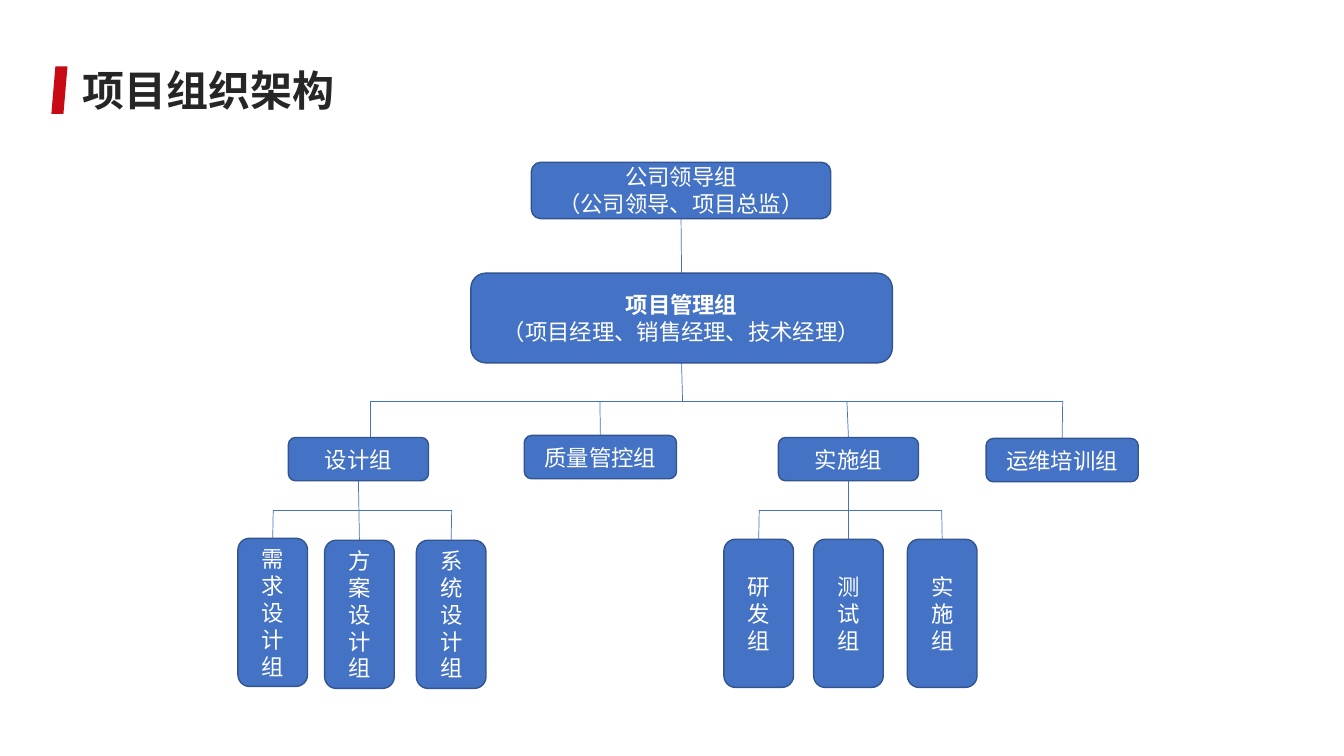
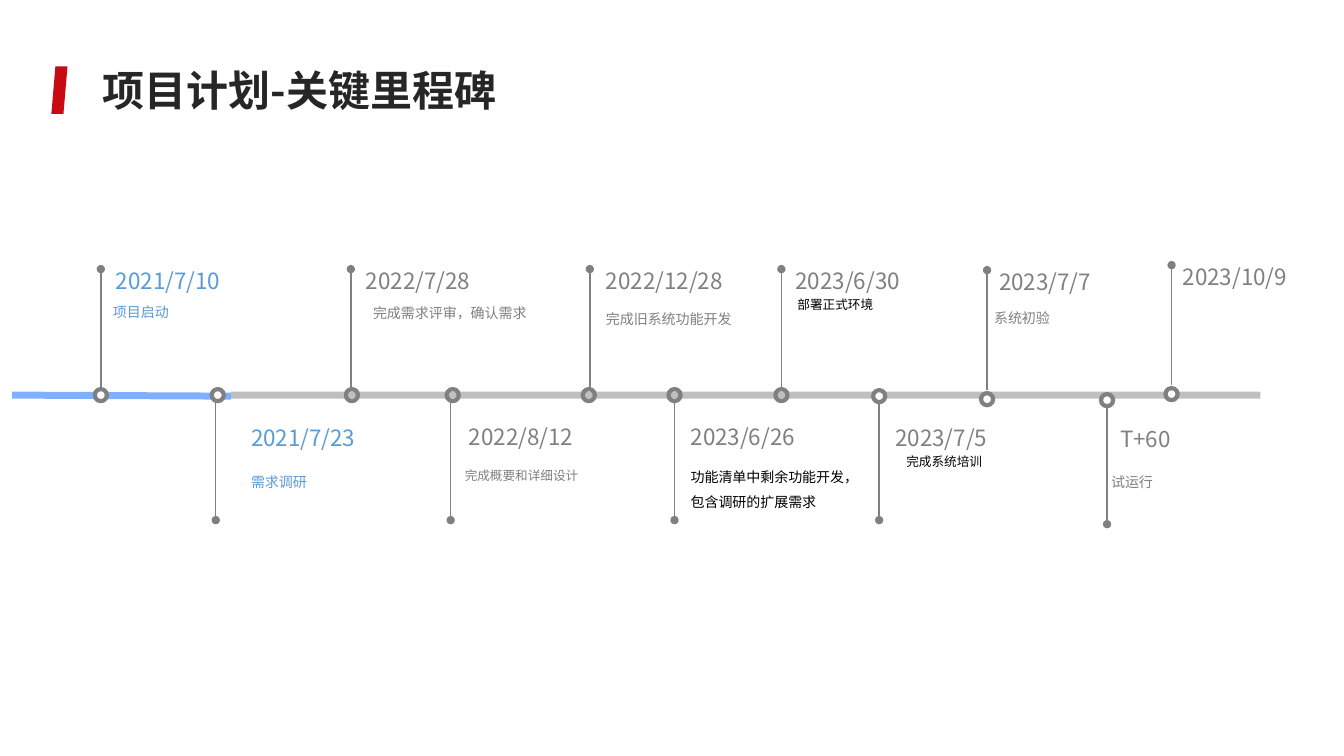
import lxml.etree
import pptx
import pptx.dml.color
import pptx.enum.shapes
import pptx.enum.text
import pptx.oxml.ns
import pptx.util

Inches = pptx.util.Inches
Pt = pptx.util.Pt
RGBColor = pptx.dml.color.RGBColor
SHAPE = pptx.enum.shapes.MSO_SHAPE
ANCHOR = pptx.enum.text.MSO_ANCHOR
ALIGN = pptx.enum.text.PP_ALIGN
qn = pptx.oxml.ns.qn

FONT = "Noto Sans CJK SC"
RED = RGBColor(0xC8, 0x0A, 0x14)
INK = RGBColor(0x26, 0x26, 0x26)
BLACK = RGBColor(0, 0, 0)
WHITE = RGBColor(0xFF, 0xFF, 0xFF)
BLUE = RGBColor(0x44, 0x72, 0xC4)
BOX_EDGE = RGBColor(0x32, 0x54, 0x91)
GRAY = RGBColor(0x80, 0x80, 0x80)
SKY = RGBColor(0x5B, 0x9B, 0xD5)
DONE_BLUE = RGBColor(0x00, 0x60, 0xFF)


def write(frame, text, size, color, bold=False, align=ALIGN.LEFT, spacing=1.0):
    frame.word_wrap = True
    frame.text = text
    for para in frame.paragraphs:
        para.alignment = align
        para.line_spacing = spacing
        for span in para.runs:
            span.font.name = FONT
            span.font.size = Pt(size)
            span.font.bold = bold
            span.font.color.rgb = color
            east_asian = lxml.etree.SubElement(span.font._element, qn("a:ea"))
            east_asian.set("typeface", FONT)


def draw_line(page, start, end, color, width):
    line = page.shapes.add_connector(
        pptx.enum.shapes.MSO_CONNECTOR.STRAIGHT,
        Inches(start[0]), Inches(start[1]), Inches(end[0]), Inches(end[1]))
    line.line.color.rgb = color
    line.line.width = Pt(width)
    lxml.etree.SubElement(line._element.spPr, qn("a:effectLst"))
    return line


deck = pptx.Presentation()
deck.slide_width = Inches(13.33)
deck.slide_height = Inches(7.5)

pages = []
for title, left in [("项目组织架构", 0.72), ("项目计划-关键里程碑", 0.92)]:
    page = deck.slides.add_slide(deck.slide_layouts[6])
    accent = page.shapes.add_shape(
        SHAPE.PARALLELOGRAM, Inches(0.51), Inches(0.66), Inches(0.16), Inches(0.47))
    accent.shadow.inherit = False
    accent.fill.solid()
    accent.fill.fore_color.rgb = RED
    accent.line.fill.background()
    box = page.shapes.add_textbox(Inches(left), Inches(0.66), Inches(6.51), Inches(0.52))
    box.text_frame.vertical_anchor = ANCHOR.MIDDLE
    write(box.text_frame, title, 30, INK, bold=True, spacing=0.9)
    pages.append(page)

chart_page, plan_page = pages

groups = [
    ("leaders", "公司领导组\n（公司领导、项目总监）", 5.27, 1.61, 2.97, 0.56),
    ("managers", "项目管理组\n（项目经理、销售经理、技术经理）", 4.67, 2.71, 4.18, 0.89),
    ("design", "设计组", 2.86, 4.34, 1.39, 0.43),
    ("quality", "质量管控组", 5.2, 4.32, 1.51, 0.43),
    ("delivery", "实施组", 7.72, 4.34, 1.39, 0.43),
    ("training", "运维培训组", 9.78, 4.35, 1.51, 0.43),
    ("needs", "需求设计组", 2.36, 5.34, 0.69, 1.47),
    ("solution", "方案设计组", 3.22, 5.36, 0.69, 1.47),
    ("system", "系统设计组", 4.13, 5.36, 0.69, 1.47),
    ("development", "研发组", 7.18, 5.35, 0.69, 1.47),
    ("testing", "测试组", 8.07, 5.35, 0.69, 1.47),
    ("rollout", "实施组", 9, 5.35, 0.69, 1.47),
]
boxes = {}
for key, text, left, top, width, height in groups:
    box = chart_page.shapes.add_shape(
        SHAPE.ROUNDED_RECTANGLE, Inches(left), Inches(top), Inches(width), Inches(height))
    box.shadow.inherit = False
    box.fill.solid()
    box.fill.fore_color.rgb = BLUE
    box.line.color.rgb = BOX_EDGE
    box.line.width = Pt(1)
    box.text_frame.vertical_anchor = ANCHOR.MIDDLE
    write(box.text_frame, text, 16, WHITE, align=ALIGN.CENTER)
    boxes[key] = box
boxes["managers"].text_frame.paragraphs[0].runs[0].font.bold = True

for left, right, level in [(3.67, 10.54, 3.98), (2.71, 4.48, 5.06), (7.53, 9.34, 5.06)]:
    draw_line(chart_page, (left, level), (right, level), BLUE, 0.5)
draw_line(chart_page, (3.67, 3.98), (3.67, 4.34), BLUE, 0.5)

drops = [
    ("quality", 5.95, 3.98), ("delivery", 8.4, 3.98), ("training", 10.54, 3.98),
    ("needs", 2.71, 5.06), ("system", 4.48, 5.06),
    ("development", 7.53, 5.06), ("rollout", 9.34, 5.06),
]
for key, x, level in drops:
    line = draw_line(chart_page, (x, level), (x, level), BLUE, 0.5)
    line.end_connect(boxes[key], 0)

line = draw_line(chart_page, (6.76, 3.6), (6.77, 3.98), BLUE, 0.5)
line.begin_connect(boxes["managers"], 2)
for upper, lower in [("leaders", "managers"), ("design", "solution"), ("delivery", "testing")]:
    line = draw_line(chart_page, (0, 0), (0, 0), BLUE, 0.5)
    line.begin_connect(boxes[upper], 2)
    line.end_connect(boxes[lower], 0)

STEM = 1.19
DOT = 0.12
done_track = ((0.12, 3.92), (2.29, 3.93), DONE_BLUE)
open_track = ((2.29, 3.92), (12.5, 3.92), GRAY)
markers = [
    (0.94, 3.86, 1, 2.67), (2.1, 3.86, 2.14, 5.16), (3.43, 3.86, 3.48, 2.67),
    (4.43, 3.86, 4.47, 5.16), (5.78, 3.86, 5.85, 2.67), (6.63, 3.86, 6.69, 5.16),
    (7.69, 3.86, 7.75, 2.67), (8.66, 3.87, 8.72, 5.16), (9.73, 3.9, 9.79, 2.68),
    (10.92, 3.91, 10.98, 5.2), (11.56, 3.85, 11.62, 2.63),
]
for track, track_markers in [(done_track, markers[:7]), (open_track, markers[7:])]:
    line = draw_line(plan_page, *track, 5)
    color = line._element.spPr.find(".//" + qn("a:srgbClr"))
    lxml.etree.SubElement(color, qn("a:alpha")).set("val", "50000")
    for left, top, x, outer in track_markers:
        inner = outer + STEM if outer < top else outer - STEM
        stem = draw_line(plan_page, (x, inner), (x, outer), GRAY, 1)
        outline = stem._element.spPr.find(qn("a:ln"))
        lxml.etree.SubElement(outline, qn("a:tailEnd")).set("type", "oval")
        dot = plan_page.shapes.add_shape(
            SHAPE.OVAL, Inches(left), Inches(top), Inches(DOT), Inches(DOT))
        dot.shadow.inherit = False
        dot.fill.solid()
        dot.fill.fore_color.rgb = WHITE
        dot.line.color.rgb = GRAY
        dot.line.width = Pt(3)

dates = [
    ("2021/7/10", 1.15, 2.54, SKY), ("2021/7/23", 2.49, 4.09, SKY),
    ("2022/7/28", 3.63, 2.54, GRAY), ("2022/8/12", 4.65, 4.08, GRAY),
    ("2022/12/28", 6.01, 2.54, GRAY), ("2023/6/26", 6.85, 4.08, GRAY),
    ("2023/6/30", 7.89, 2.54, GRAY), ("2023/7/5", 8.88, 4.09, GRAY),
    ("2023/7/7", 9.91, 2.55, GRAY), ("T+60", 11.11, 4.1, GRAY),
    ("2023/10/9", 11.73, 2.5, GRAY),
]
captions = [
    ("项目启动", 1.12, 2.93, 1.97, 10, SKY),
    ("需求调研", 2.49, 4.61, 1.97, 10, SKY),
    ("完成需求评审，确认需求", 3.7, 2.94, 1.97, 10, GRAY),
    ("完成概要和详细设计", 4.61, 4.61, 1.97, 9, GRAY),
    ("完成旧系统功能开发", 6.01, 3, 1.97, 10, GRAY),
    ("功能清单中剩余功能开发，包含调研的扩展需求", 6.85, 4.56, 1.74, 10, BLACK),
    ("部署正式环境", 7.91, 2.92, 1.54, 9, BLACK),
    ("完成系统培训", 8.99, 4.47, 1.54, 9, BLACK),
    ("系统初验", 9.86, 2.99, 1.97, 10, GRAY),
    ("试运行", 11.02, 4.61, 1.97, 10, GRAY),
]
labels = [(text, left, top, 1.42, 0.36, 16, color) for text, left, top, color in dates]
labels += [(text, left, top, width, 0.9, size, color)
           for text, left, top, width, size, color in captions]
for text, left, top, width, height, size, color in labels:
    box = plan_page.shapes.add_textbox(
        Inches(left), Inches(top), Inches(width), Inches(height))
    frame = box.text_frame
    frame.margin_left = frame.margin_right = frame.margin_top = frame.margin_bottom = 0
    if size == 16:
        frame.vertical_anchor = ANCHOR.MIDDLE
        frame.auto_size = pptx.enum.text.MSO_AUTO_SIZE.SHAPE_TO_FIT_TEXT
    write(frame, text, size, color, spacing=1.2 if size == 9 else 1.5)

deck.save("out.pptx")
